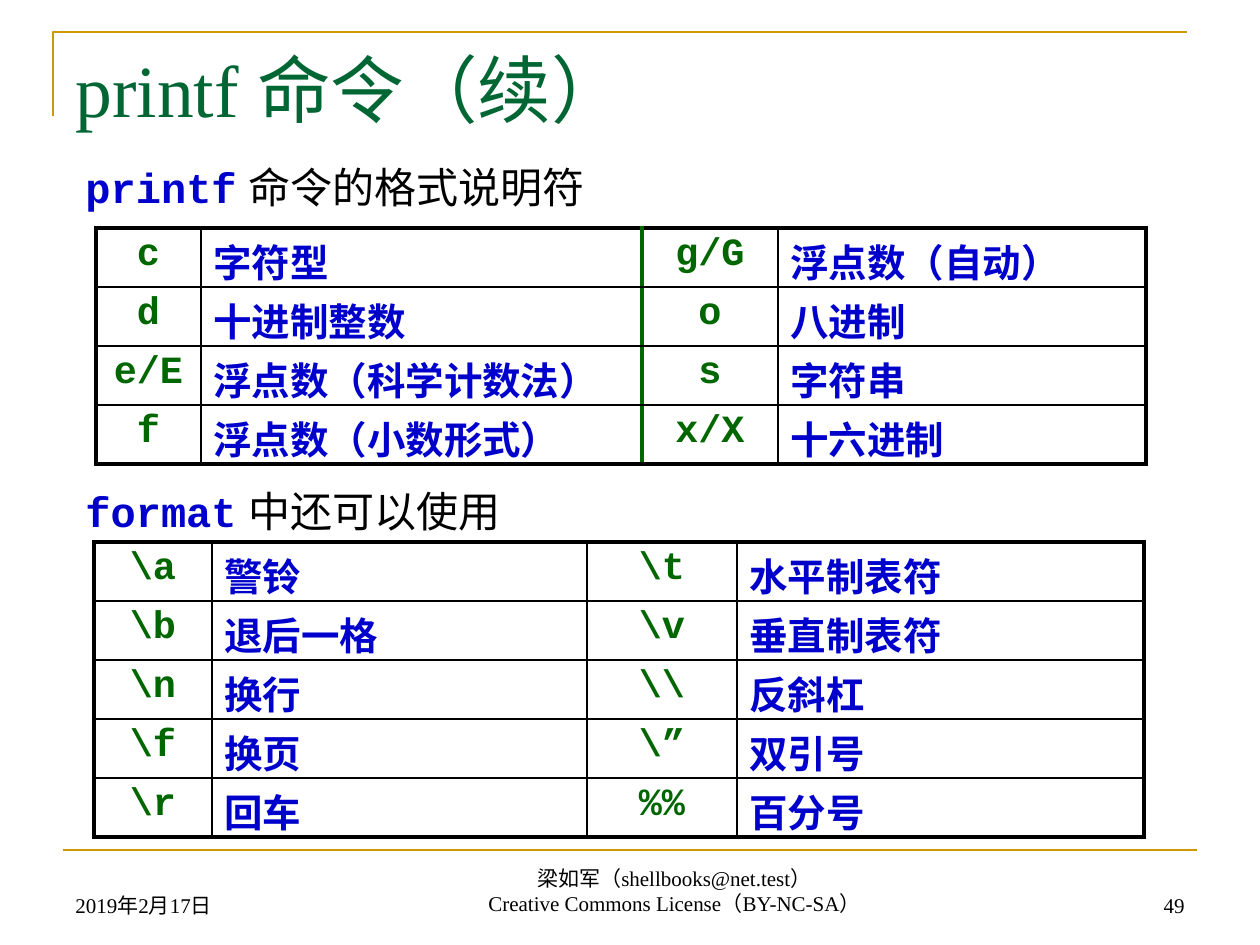
from dataclasses import dataclass
from lxml import etree
from pptx import Presentation
from pptx.dml.color import RGBColor
from pptx.enum.shapes import MSO_CONNECTOR
from pptx.enum.text import MSO_ANCHOR, PP_ALIGN
from pptx.oxml.ns import qn
from pptx.util import Pt

PX = 914400 / 126
LEFT, MID, RIGHT, JUST = PP_ALIGN.LEFT, PP_ALIGN.CENTER, PP_ALIGN.RIGHT, PP_ALIGN.JUSTIFY
TOP, LOW = MSO_ANCHOR.TOP, MSO_ANCHOR.BOTTOM
LINE = MSO_CONNECTOR.STRAIGHT


@dataclass(frozen=True)
class Theme:
    gold: str = "CC9900"
    head: str = "006633"
    code: str = "006600"
    blue: str = "0000CC"
    ink: str = "000000"
    serif: str = "Times New Roman"
    sans: str = "Arial"
    mono: str = "Courier New"
    title: int = 42
    lead: int = 24
    cell: int = 22
    foot: int = 12
    thin: float = 1
    rule: float = 1.5
    thick: float = 2.25


def px(n):
    return round(n * PX)


def write(frame, lines, size, face, color, bold=False, align=LEFT, gap=1.0, anchor=TOP):
    frame.word_wrap = True
    frame.vertical_anchor = anchor
    for i, line in enumerate(lines):
        para = frame.paragraphs[0] if i == 0 else frame.add_paragraph()
        para.alignment = align
        para.line_spacing = gap
        runs = [(line, {})] if isinstance(line, str) else line
        for text, own in runs:
            look = {"face": face, "color": color, "bold": bold} | own
            run = para.add_run()
            run.text = text
            run.font.size = Pt(size)
            run.font.name = look["face"]
            run.font.bold = look["bold"]
            run.font.color.rgb = RGBColor.from_string(look["color"])


def edge(cell, spot, side, width, color):
    line = etree.Element(qn("a:ln" + side), w=str(Pt(width)))
    fill = etree.SubElement(line, qn("a:solidFill"))
    etree.SubElement(fill, qn("a:srgbClr"), val=color)
    cell._tc.get_or_add_tcPr().insert(spot, line)


class Page:
    def __init__(self, deck, theme):
        self.theme = theme
        self.slide = deck.slides.add_slide(deck.slide_layouts[5])
        self.shapes = self.slide.shapes

    def stroke(self, shape):
        shape.line.color.rgb = RGBColor.from_string(self.theme.gold)
        shape.line.width = Pt(self.theme.rule)

    def corner(self, start, *ends):
        pen = self.shapes.build_freeform(*start, scale=PX)
        pen.add_line_segments(ends, close=False)
        shape = pen.convert_to_shape()
        shape.fill.background()
        shape.shadow.inherit = False
        self.stroke(shape)

    def rule(self, x, y, end):
        line = self.shapes.add_connector(LINE, px(x), px(y), px(end), px(y))
        etree.SubElement(line._element.spPr, qn("a:effectLst"))
        self.stroke(line)

    def title(self, text, *box):
        t = self.theme
        shape = self.shapes.title
        shape.left, shape.top, shape.width, shape.height = map(px, box)
        write(shape.text_frame, [text], t.title, t.serif, t.head)

    def text(self, lines, box, **look):
        shape = self.shapes.add_textbox(*map(px, box))
        write(shape.text_frame, lines, **look)

    def lead(self, code, text, box, **look):
        t = self.theme
        runs = [(code, {"face": t.mono, "color": t.blue, "bold": True}), (text, {})]
        self.text([runs], box, size=t.lead, face=t.sans, color=t.ink, **look)

    def foot(self, lines, box, align):
        t = self.theme
        self.text(lines, box, size=t.foot, face=t.serif, color=t.ink,
                  align=align, anchor=LOW)

    def table(self, rows, x, y, cols, high, split=None):
        t = self.theme
        tall, wide = len(rows), len(cols)
        grid = self.shapes.add_table(tall, wide, px(x), px(y),
                                     px(sum(cols)), px(high * tall)).table
        grid.first_row = grid.horz_banding = False
        for col, size in zip(grid.columns, cols):
            col.width = px(size)
        for r, row in enumerate(rows):
            grid.rows[r].height = px(high)
            for c, text in enumerate(row):
                cell = grid.cell(r, c)
                cell.fill.background()
                code = c % 2 == 0
                cell.margin_top, cell.margin_bottom = px(10 if code else 14), 0
                write(cell.text_frame, [text], t.cell, t.mono if code else t.serif,
                      t.code if code else t.blue, bold=True,
                      align=MID if code else LEFT, gap=0.8)
                sides = (("L", c, wide), ("R", c + 1, wide),
                         ("T", r, tall), ("B", r + 1, tall))
                for spot, (side, at, last) in enumerate(sides):
                    mark = side in "LR" and at == split
                    width = t.thick if mark or at in (0, last) else t.thin
                    edge(cell, spot, side, width, t.code if mark else t.ink)


def main():
    deck = Presentation()
    deck.slide_width, deck.slide_height = px(1260), px(945)
    page = Page(deck, Theme())
    page.corner((53, 116), (53, 32), (1187, 32))
    page.rule(63, 850, 1197)
    page.title("printf 命令（续）", 63, 38, 1134, 157)

    page.lead("printf", " 命令的格式说明符", (73, 145, 1092, 74), gap=1.2)
    page.table([
        ("c", "字符型", "g/G", "浮点数（自动）"),
        ("d", "十进制整数", "o", "八进制"),
        ("e/E", "浮点数（科学计数法）", "s", "字符串"),
        ("f", "浮点数（小数形式）", "x/X", "十六进制"),
    ], 96, 228, (105, 441, 136, 368), 59, split=2)

    page.lead("format", " 中还可以使用", (73, 474, 1081, 69), gap=1.1, align=JUST)
    page.table([
        ("\\a", "警铃", "\\t", "水平制表符"),
        ("\\b", "退后一格", "\\v", "垂直制表符"),
        ("\\n", "换行", "\\\\", "反斜杠"),
        ("\\f", "换页", "\\”", "双引号"),
        ("\\r", "回车", "%%", "百分号"),
    ], 94, 542, (118, 375, 150, 407), 59)

    page.foot(["2019年2月17日"], (63, 861, 294, 63), LEFT)
    page.foot(["梁如军（shellbooks@net.test）", "Creative Commons License（BY-NC-SA）"],
              (302, 859, 745, 63), MID)
    page.foot(["49"], (903, 861, 294, 63), RIGHT)
    deck.save("out.pptx")


if __name__ == "__main__":
    main()
